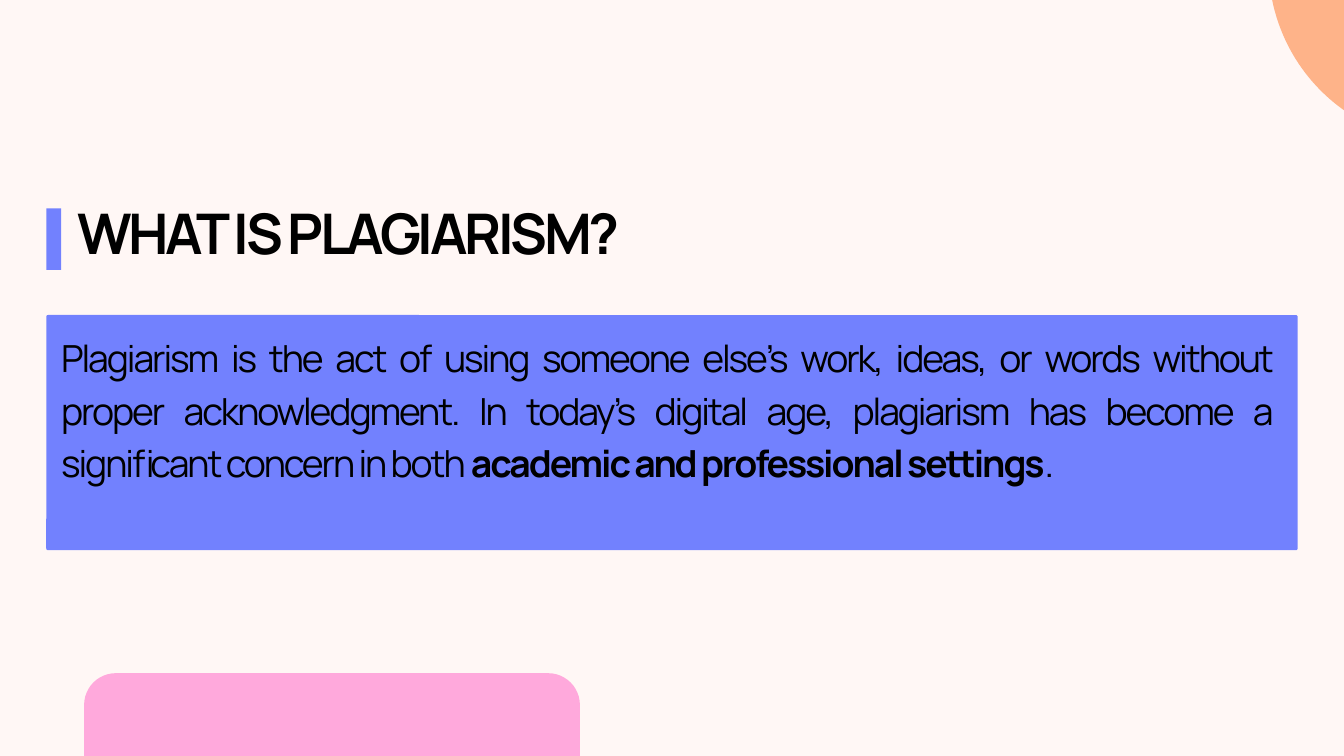
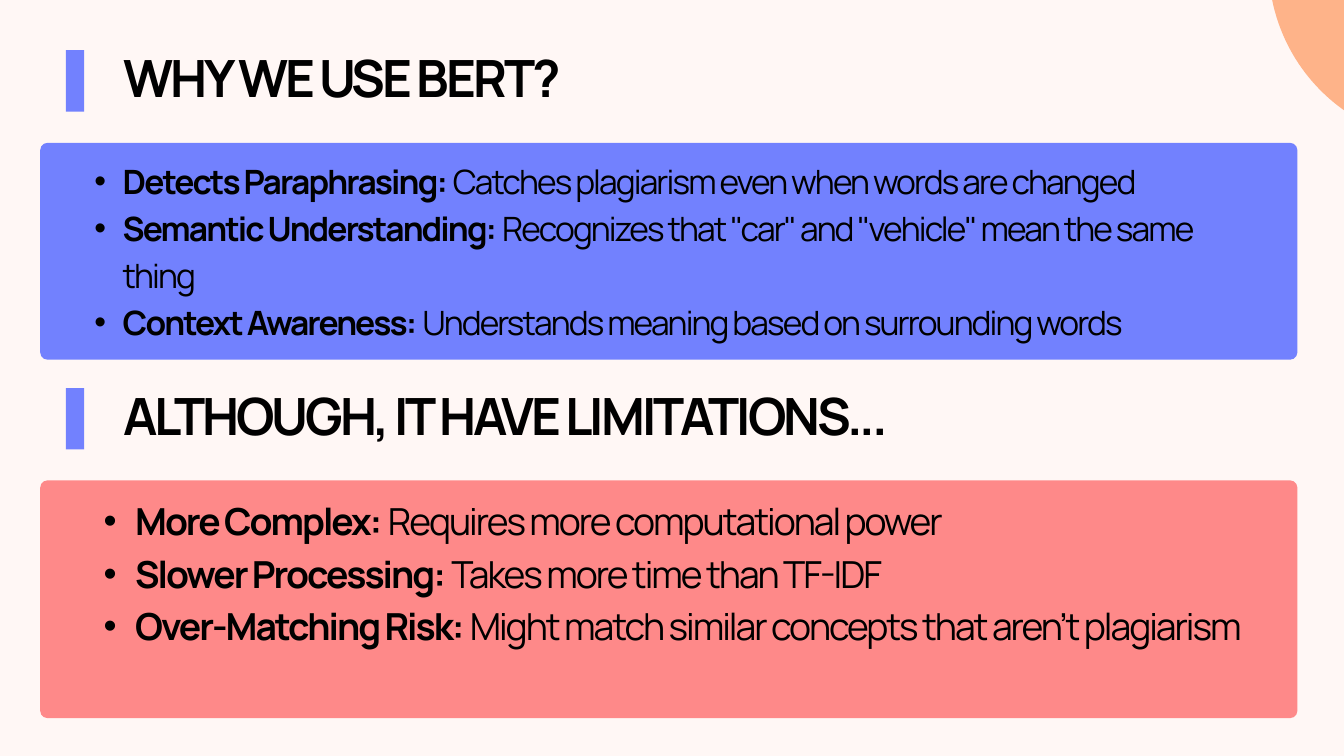
from lxml import etree
from pptx import Presentation
from pptx.dml.color import RGBColor
from pptx.enum import shapes, text
from pptx.oxml import ns
from pptx.util import Cm, Pt

FONT = "Manrope"
CREAM, PEACH, PINK = "FFF7F5", "FEB389", "FFA9DC"
BLUE, CORAL, BLACK = "7281FE", "FE8989", "000000"
OVAL = shapes.MSO_SHAPE.OVAL
RECT = shapes.MSO_SHAPE.RECTANGLE
ROUND = shapes.MSO_SHAPE.ROUNDED_RECTANGLE

WHY = [
    ("Detects Paraphrasing: ", "Catches plagiarism even when words are changed"),
    ("Semantic Understanding:",
     " Recognizes that \"car\" and \"vehicle\" mean the same thing"),
    ("Context Awareness: ", "Understands meaning based on surrounding words"),
]
LIMITS = [
    ("More Complex:", " Requires more computational power"),
    ("Slower Processing: ", "Takes more time than TF-IDF"),
    ("Over-Matching Risk:",
     " Might match similar concepts that aren't plagiarism"),
]


def paint(fill, color):
    fill.solid()
    fill.fore_color.rgb = RGBColor.from_string(color)


def add_form(slide, kind, box, color):
    form = slide.shapes.add_shape(kind, *map(Cm, box))
    form.shadow.inherit = False
    paint(form.fill, color)
    form.line.fill.background()
    return form


def add_panel(slide, box, color, radius):
    panel = add_form(slide, ROUND, box, color)
    panel.adjustments[0] = radius / min(box[2:])


def add_frame(slide, box):
    frame = slide.shapes.add_textbox(*map(Cm, box)).text_frame
    frame.word_wrap = True
    frame.margin_left = frame.margin_right = 0
    frame.margin_top = frame.margin_bottom = 0
    return frame


def add_run(para, words, size, track, bold=False):
    """Add a run; track is the letter spacing in points."""
    run = para.add_run()
    run.text = words
    run.font.name = FONT
    run.font.size = Pt(size)
    run.font.bold = bold
    paint(run.font.fill, BLACK)
    run.font._element.set("spc", str(round(track * 100)))


def add_title(slide, words, bar, box, size, track):
    """Add a heading with its blue marker bar."""
    add_form(slide, RECT, bar, BLUE)
    para = add_frame(slide, box).paragraphs[0]
    para.line_spacing = Pt(size * 1.04)
    add_run(para, words, size, track, True)


def add_list(slide, box, items, size, track, indent):
    """Add bullets that each open with a bold term."""
    frame = add_frame(slide, box)
    for index, (term, words) in enumerate(items):
        para = frame.add_paragraph() if index else frame.paragraphs[0]
        props = para._p.get_or_add_pPr()
        props.set("marL", str(Cm(indent)))
        props.set("indent", str(-Cm(indent / 2)))
        etree.SubElement(props, ns.qn("a:buFont")).set("typeface", "Arial")
        etree.SubElement(props, ns.qn("a:buChar")).set("char", "•")
        para.line_spacing = Pt(round(size * 1.4, 1))
        add_run(para, term, size, track, True)
        add_run(para, words, size, track)


def add_slide(deck):
    """Add a slide with the shared background and corner disc."""
    slide = deck.slides.add_slide(deck.slide_layouts[6])
    paint(slide.background.fill, CREAM)
    add_form(slide, OVAL, (47.95, -8.1, 13.51, 13.51), PEACH)
    return slide


def add_meaning(deck):
    slide = add_slide(deck)
    add_panel(slide, (3.18, 25.45, 18.74, 8.57), PINK, 1.2)
    add_title(slide, "WHAT IS PLAGIARISM?", (1.75, 7.88, 0.56, 2.32),
              (2.92, 7.85, 40.94, 2.46), 60, -3.5)
    add_panel(slide, (1.75, 11.91, 47.3, 8.89), BLUE, 0.07)
    para = add_frame(slide, (2.31, 12.4, 45.77, 7.87)).paragraphs[0]
    para.alignment = text.PP_ALIGN.JUSTIFY
    para.line_spacing = Pt(56)
    add_run(para, "Plagiarism is the act of using someone else's work, ideas, "
            "or words without proper acknowledgment. In today's digital age, "
            "plagiarism has become a significant concern in both ", 40, -2.2)
    add_run(para, "academic and professional settings", 40, -2.2, True)
    add_run(para, ".", 40, -2.2)


def add_reasons(deck):
    slide = add_slide(deck)
    for words, top in (("WHY WE USE BERT?", 1.9),
                       ("ALTHOUGH, IT HAVE LIMITATIONS...", 14.67)):
        add_title(slide, words, (2.49, top, 0.69, 2.32),
                  (4.67, top + 0.17, 43.4, 2.26), 55, -3.2)
    add_panel(slide, (1.52, 5.4, 47.52, 8.2), BLUE, 0.28)
    add_list(slide, (2.49, 5.84, 45.14, 7.01), WHY, 35.9, -2, 2.15)
    add_panel(slide, (1.52, 18.16, 47.52, 8.99), CORAL, 0.28)
    add_list(slide, (2.72, 18.57, 45.14, 7.87), LIMITS, 39.9, -2.2, 2.39)


def main():
    deck = Presentation()
    deck.slide_width, deck.slide_height = Cm(50.8), Cm(28.58)
    add_meaning(deck)
    add_reasons(deck)
    deck.save("out.pptx")


if __name__ == "__main__":
    main()
